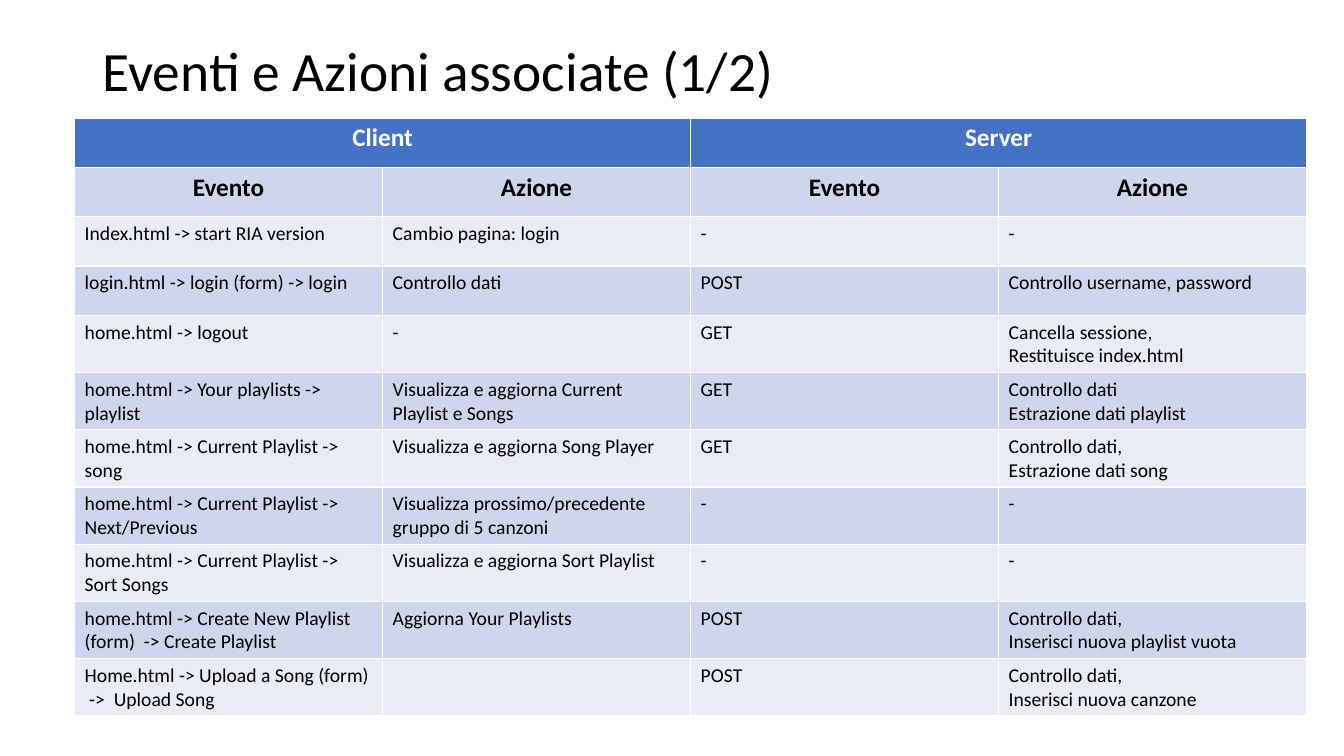
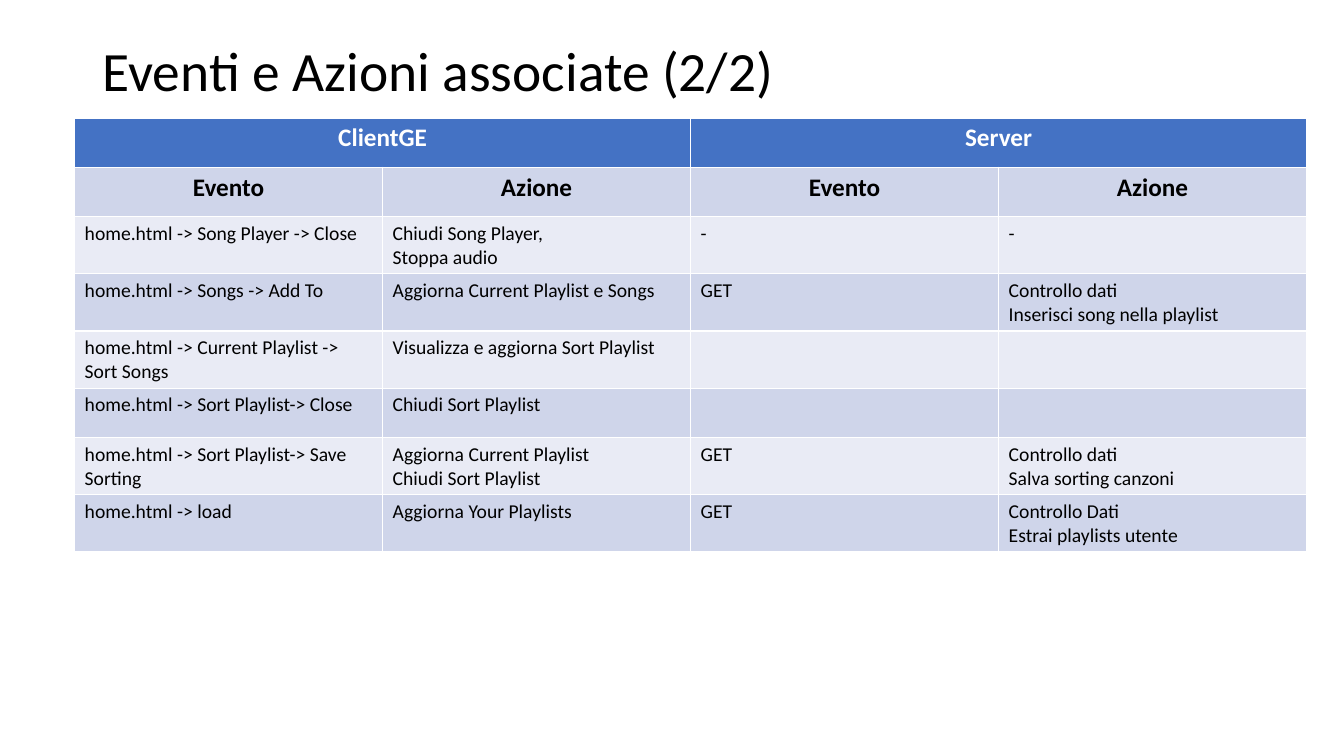
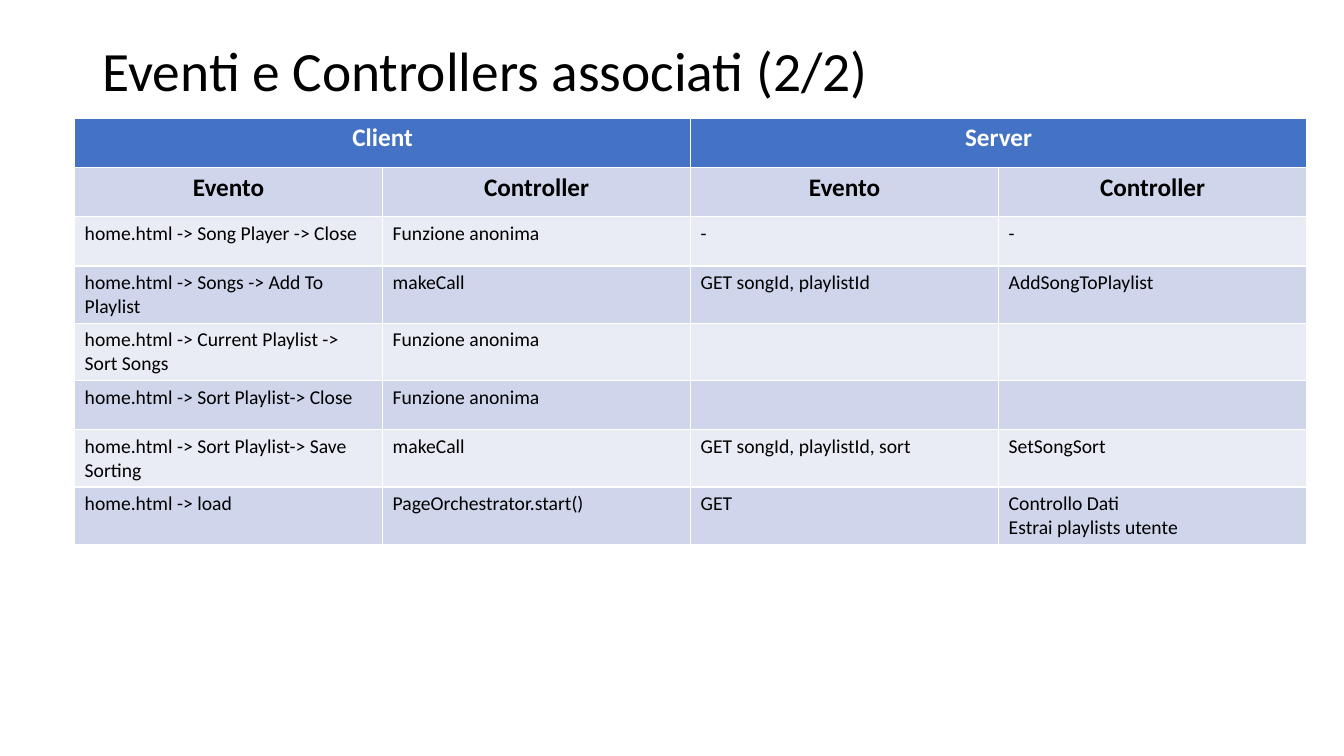
import pptx
import pptx.util
import pptx.dml.color
import pptx.enum.text

Inches, Pt = pptx.util.Inches, pptx.util.Pt

FONT = "Calibri"
COLORS = {
    "header": "4472C4",
    "band_dark": "CFD5EA",
    "band_light": "E9EBF5",
    "text": "000000",
    "header_text": "FFFFFF",
}
SLIDE_W, SLIDE_H = 13.33, 7.5
TITLE_BOX = (0.92, 0.4, 11.5, 0.65)
TABLE_LEFT, TABLE_TOP, TABLE_W = 0.74, 1.17, 12.22
COLS, ROW_H = 4, 0.49

# Each slide: title, two group headings, heading of the second column of a group, rows
SLIDES = [
    ("Eventi e Azioni associate (1/2)", ("Client", "Server"), "Azione", [
        ("Index.html -> start RIA version", "Cambio pagina: login", "-", "-"),
        ("login.html -> login (form) -> login", "Controllo dati", "POST",
         "Controllo username, password"),
        ("home.html -> logout", "-", "GET",
         "Cancella sessione,\nRestituisce index.html"),
        ("home.html -> Your playlists -> playlist",
         "Visualizza e aggiorna Current Playlist e Songs", "GET",
         "Controllo dati\nEstrazione dati playlist"),
        ("home.html -> Current Playlist -> song",
         "Visualizza e aggiorna Song Player", "GET",
         "Controllo dati,\nEstrazione dati song"),
        ("home.html -> Current Playlist -> Next/Previous",
         "Visualizza prossimo/precedente gruppo di 5 canzoni", "-", "-"),
        ("home.html -> Current Playlist -> Sort Songs",
         "Visualizza e aggiorna Sort Playlist", "-", "-"),
        ("home.html -> Create New Playlist (form)  -> Create Playlist",
         "Aggiorna Your Playlists", "POST",
         "Controllo dati,\nInserisci nuova playlist vuota"),
        ("Home.html -> Upload a Song (form)  ->  Upload Song", "", "POST",
         "Controllo dati,\nInserisci nuova canzone"),
    ]),
    ("Eventi e Azioni associate (2/2)", ("ClientGE", "Server"), "Azione", [
        ("home.html -> Song Player -> Close",
         "Chiudi Song Player,\nStoppa audio", "-", "-"),
        ("home.html -> Songs -> Add To", "Aggiorna Current Playlist e Songs",
         "GET", "Controllo dati\nInserisci song nella playlist"),
        ("home.html -> Current Playlist -> Sort Songs",
         "Visualizza e aggiorna Sort Playlist", "", ""),
        ("home.html -> Sort Playlist-> Close", "Chiudi Sort Playlist", "", ""),
        ("home.html -> Sort Playlist-> Save Sorting",
         "Aggiorna Current Playlist\nChiudi Sort Playlist", "GET",
         "Controllo dati\nSalva sorting canzoni"),
        ("home.html -> load", "Aggiorna Your Playlists", "GET",
         "Controllo Dati\nEstrai playlists utente"),
    ]),
    ("Eventi e Controllers associati (2/2)", ("Client", "Server"), "Controller", [
        ("home.html -> Song Player -> Close", "Funzione anonima", "-", "-"),
        ("home.html -> Songs -> Add To Playlist", "makeCall",
         "GET songId, playlistId", "AddSongToPlaylist"),
        ("home.html -> Current Playlist -> Sort Songs", "Funzione anonima", "", ""),
        ("home.html -> Sort Playlist-> Close", "Funzione anonima", "", ""),
        ("home.html -> Sort Playlist-> Save Sorting", "makeCall",
         "GET songId, playlistId, sort", "SetSongSort"),
        ("home.html -> load", "PageOrchestrator.start()", "GET",
         "Controllo Dati\nEstrai playlists utente"),
    ]),
]


def rgb(name):
    return pptx.dml.color.RGBColor.from_string(COLORS[name])


def write(tf, text, size, color="text", bold=False, align=None, spacing=None):
    """Put each line of text in its own paragraph of the text frame."""
    for i, line in enumerate(text.split("\n")):
        p = tf.add_paragraph() if i else tf.paragraphs[0]
        p.alignment = align
        p.line_spacing = spacing
        if not line:
            continue
        r = p.add_run()
        r.text = line
        r.font.name = FONT
        r.font.size = Pt(size)
        r.font.bold = bold
        r.font.color.rgb = rgb(color)


def add_title(s, text):
    tf = s.shapes.add_textbox(*map(Inches, TITLE_BOX)).text_frame
    tf.word_wrap = True
    tf.vertical_anchor = pptx.enum.text.MSO_ANCHOR.MIDDLE
    write(tf, text, 39.6, spacing=0.9)


def add_event_table(s, groups, second_heading, body):
    """The default table style supplies the white borders; fills are set per cell."""
    client, server = groups
    rows = [(client, "", server, ""), ("Evento", second_heading) * 2, *body]
    table = s.shapes.add_table(
        len(rows), COLS, Inches(TABLE_LEFT), Inches(TABLE_TOP),
        Inches(TABLE_W), Inches(ROW_H * len(rows))).table
    for col in (0, 2):
        table.cell(0, col).merge(table.cell(0, col + 1))
    for i, row in enumerate(rows):
        fill = "header" if i == 0 else "band_dark" if i % 2 else "band_light"
        if i < 2:
            style = {"size": 18, "bold": True,
                     "color": "text" if i else "header_text",
                     "align": pptx.enum.text.PP_ALIGN.CENTER}
        else:
            style = {"size": 14}
        for j, text in enumerate(row):
            cell = table.cell(i, j)
            cell.fill.solid()
            cell.fill.fore_color.rgb = rgb(fill)
            write(cell.text_frame, text, **style)


def main():
    prs = pptx.Presentation()
    prs.slide_width, prs.slide_height = Inches(SLIDE_W), Inches(SLIDE_H)
    for title, groups, second_heading, body in SLIDES:
        s = prs.slides.add_slide(prs.slide_layouts[6])
        add_title(s, title)
        add_event_table(s, groups, second_heading, body)
    prs.save("out.pptx")


if __name__ == "__main__":
    main()
